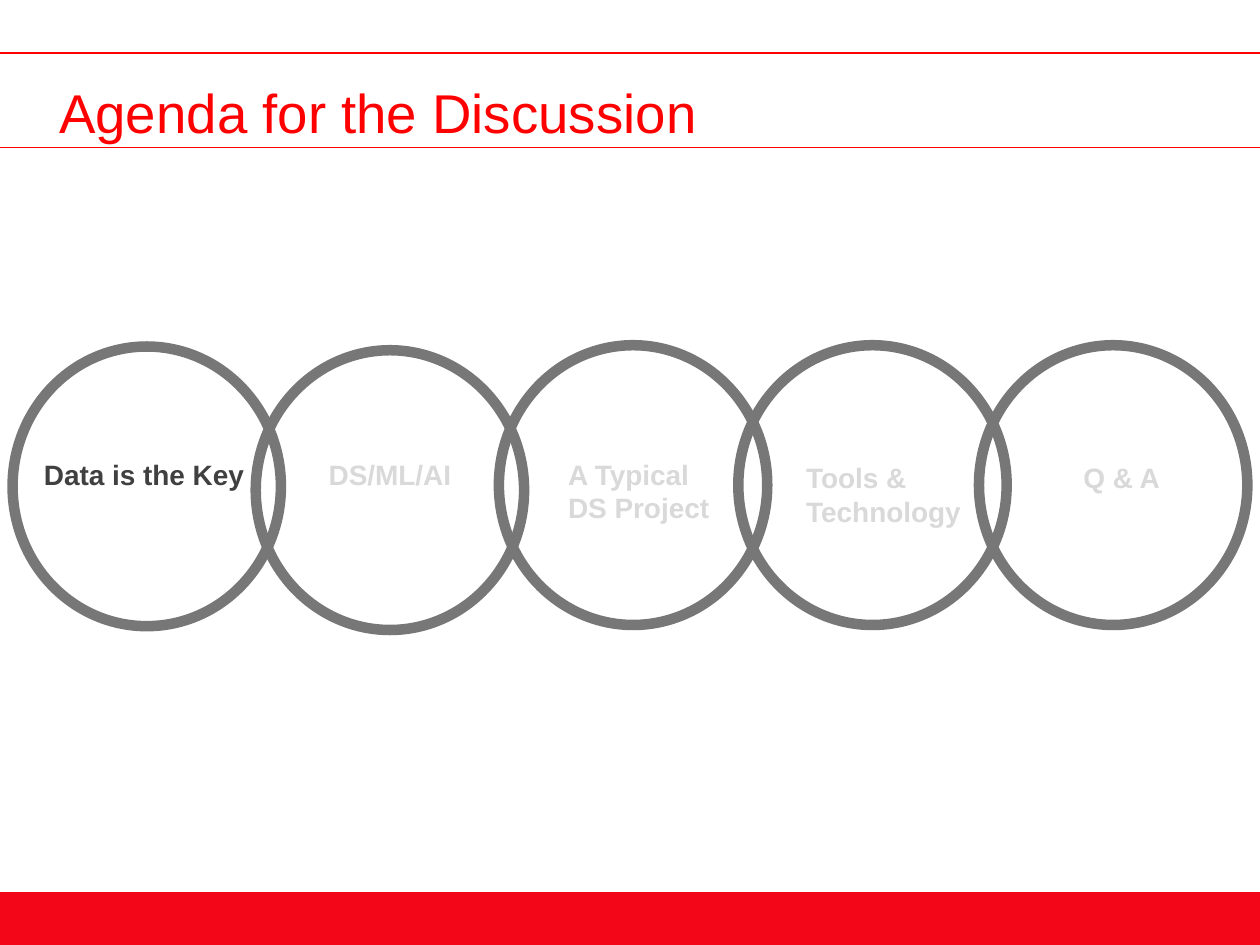
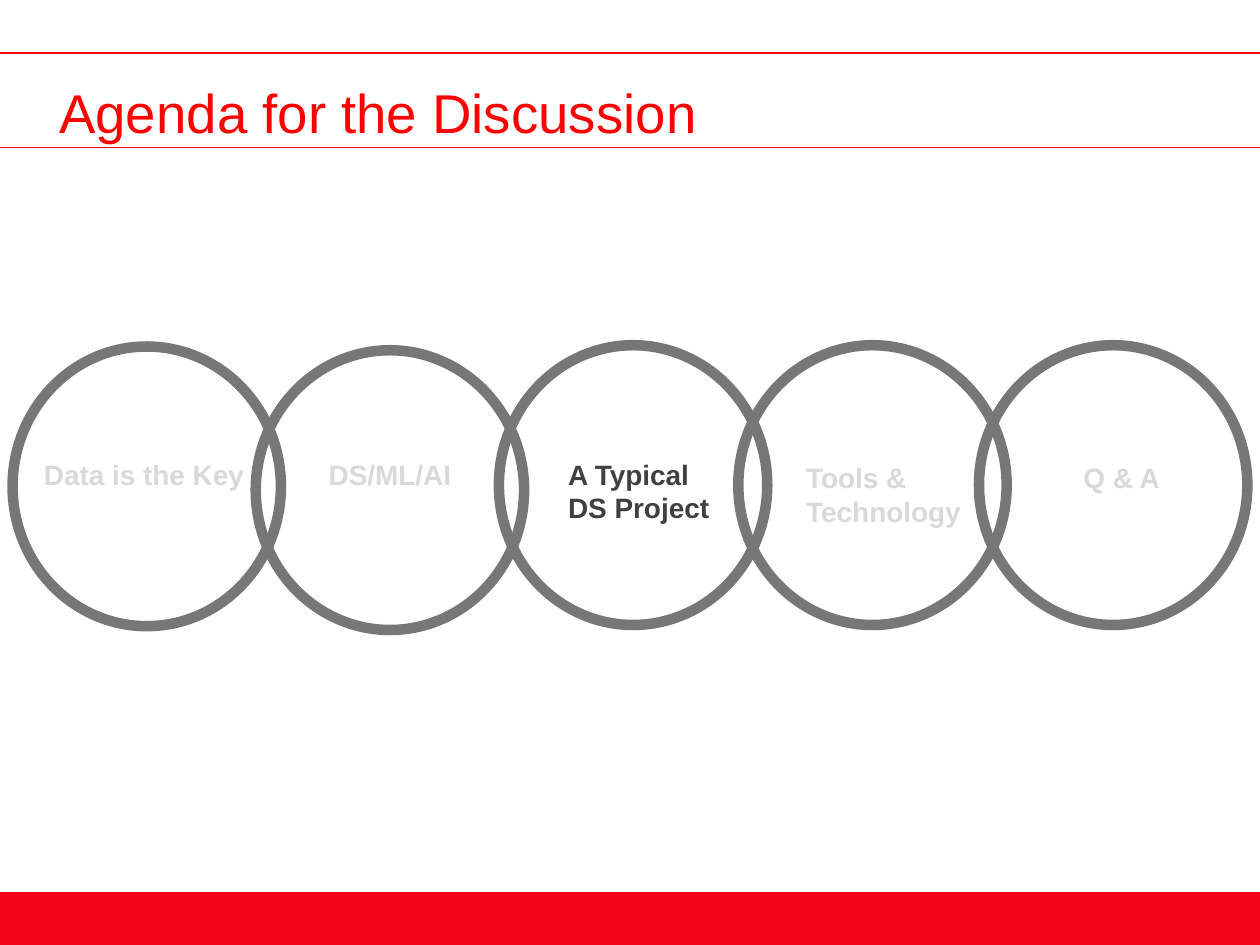
from lxml import etree
from pptx import Presentation
from pptx.dml.color import RGBColor
from pptx.enum.shapes import MSO_CONNECTOR, MSO_SHAPE
from pptx.enum.text import MSO_ANCHOR, MSO_AUTO_SIZE, PP_ALIGN
from pptx.oxml.ns import qn
from pptx.util import Inches, Pt

STRAIGHT = MSO_CONNECTOR.STRAIGHT
RECTANGLE = MSO_SHAPE.RECTANGLE
OVAL = MSO_SHAPE.OVAL
TOP = MSO_ANCHOR.TOP
LEFT = PP_ALIGN.LEFT
NO_AUTOFIT = MSO_AUTO_SIZE.NONE
GROW = MSO_AUTO_SIZE.SHAPE_TO_FIT_TEXT

FONT = "Arial"
TITLE_RED = "FF0000"
BAND_RED = "F30617"
RING_GREY = "777777"
ACTIVE = "404040"
INACTIVE = "D9D9D9"

SLIDE_WIDTH, SLIDE_HEIGHT = 10, 7.5
BAND_HEIGHT = 0.42
RULE_TOPS = (1.17, 0.42)
RING_WIDTH, RING_HEIGHT = 2.13, 2.22
LABEL_WIDTH, LINE_HEIGHT, LABEL_PADDING = 2.39, 0.27, 0.1
TITLE_ONLY_LAYOUT = 5

TITLE = "Agenda for the Discussion"
RINGS = [(0.1, 2.75), (2.03, 2.78), (3.96, 2.74), (5.86, 2.74), (7.77, 2.74)]
# Left, top and lines of each agenda topic
TOPICS = [
    (0.25, 3.58, ["Data is the Key"]),
    (2.51, 3.58, ["DS/ML/AI"]),
    (4.41, 3.58, ["A Typical", "DS Project"]),
    (6.3, 3.61, ["Tools &", "Technology"]),
    (8.5, 3.61, ["Q & A"]),
]
ACTIVE_TOPICS = (0, 2)


def color(hex_value):
    return RGBColor.from_string(hex_value)


def box(left, top, width, height):
    return Inches(left), Inches(top), Inches(width), Inches(height)


def add_run(paragraph, text, size, hex_value, bold=False):
    paragraph.alignment = LEFT
    run = paragraph.add_run()
    run.text = text
    run.font.name = FONT
    run.font.size = Pt(size)
    run.font.bold = bold
    run.font.color.rgb = color(hex_value)


def set_title(slide):
    title = slide.shapes.title
    title.left, title.top, title.width, title.height = box(0.47, 0.58, 9, 0.5)
    frame = title.text_frame
    frame.auto_size = NO_AUTOFIT
    frame.vertical_anchor = TOP
    frame.margin_left = frame.margin_bottom = 0
    frame.margin_top = Inches(0.05)
    frame.margin_right = Inches(0.1)
    add_run(frame.paragraphs[0], TITLE, 31.2, TITLE_RED)


def add_footer_band(slide):
    band = slide.shapes.add_shape(
        RECTANGLE, *box(0, SLIDE_HEIGHT - BAND_HEIGHT, SLIDE_WIDTH, BAND_HEIGHT))
    band.shadow.inherit = False
    band.fill.solid()
    band.fill.fore_color.rgb = color(BAND_RED)
    band.line.fill.background()


def add_rule(slide, top):
    """Draw a thin red line across the whole slide."""
    rule = slide.shapes.add_connector(
        STRAIGHT, 0, Inches(top), Inches(SLIDE_WIDTH), Inches(top))
    rule.line.color.rgb = color(TITLE_RED)
    rule.line.width = Pt(1)
    etree.SubElement(rule.element.spPr, qn("a:effectLst"))


def add_ring(slide, left, top):
    ring = slide.shapes.add_shape(OVAL, *box(left, top, RING_WIDTH, RING_HEIGHT))
    ring.shadow.inherit = False
    ring.fill.background()
    ring.line.color.rgb = color(RING_GREY)
    ring.line.width = Pt(6)


def add_label(slide, left, top, lines, hex_value):
    height = LABEL_PADDING + LINE_HEIGHT * len(lines)
    label = slide.shapes.add_textbox(*box(left, top, LABEL_WIDTH, height))
    frame = label.text_frame
    frame.word_wrap = True
    frame.auto_size = GROW
    for index, line in enumerate(lines):
        paragraph = frame.add_paragraph() if index else frame.paragraphs[0]
        add_run(paragraph, line, 16, hex_value, bold=True)


def add_agenda_slide(presentation, active_topic):
    slide = presentation.slides.add_slide(
        presentation.slide_layouts[TITLE_ONLY_LAYOUT])
    add_footer_band(slide)
    set_title(slide)
    for top in RULE_TOPS:
        add_rule(slide, top)
    for left, top in RINGS:
        add_ring(slide, left, top)
    for index, (left, top, lines) in enumerate(TOPICS):
        add_label(slide, left, top, lines,
                  ACTIVE if index == active_topic else INACTIVE)


def main():
    presentation = Presentation()
    presentation.slide_width = Inches(SLIDE_WIDTH)
    presentation.slide_height = Inches(SLIDE_HEIGHT)
    for active_topic in ACTIVE_TOPICS:
        add_agenda_slide(presentation, active_topic)
    presentation.save("out.pptx")


if __name__ == "__main__":
    main()
